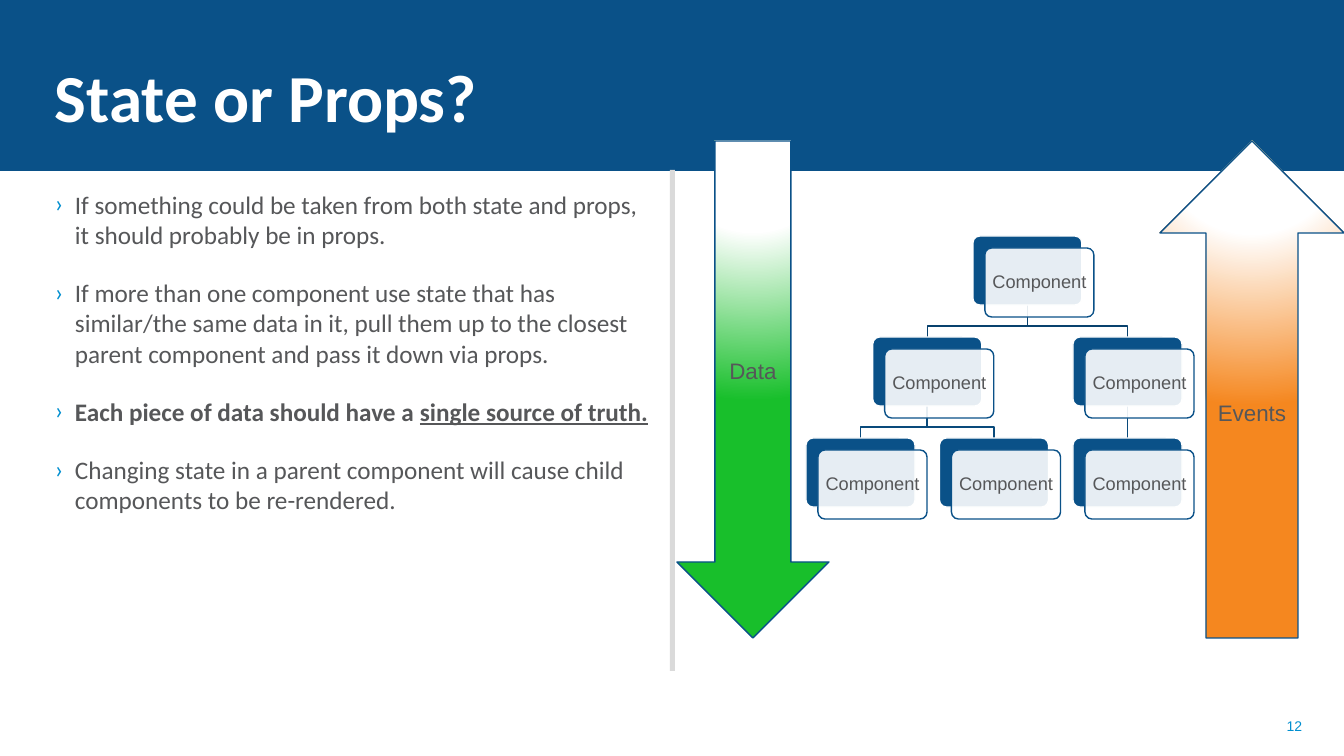
from pptx import Presentation
from pptx import util as u
from pptx.dml.color import RGBColor
from pptx.enum import shapes, text
from pptx.oxml import parse_xml
from pptx.oxml.ns import nsdecls, qn

SCALE = 914400 / 100.8  # EMU in one pixel
BLUE = RGBColor(0x0A, 0x51, 0x88)
TOP_LINK = RGBColor(0x08, 0x41, 0x6D)
LOW_LINK = RGBColor(0x09, 0x4A, 0x7B)
ACCENT = RGBColor(0x00, 0x8F, 0xD0)
GREY = RGBColor(0x56, 0x57, 0x59)
RULE = RGBColor(0xDA, 0xDA, 0xDA)
GREEN = RGBColor(0x18, 0xBF, 0x2B)
ORANGE = RGBColor(0xF5, 0x87, 0x1F)
WHITE = RGBColor(0xFF, 0xFF, 0xFF)

# Component tree
LEFT, TOP = 806, 236
COLUMN, ROW = 133.5, 101
CARD_W, CARD_H, OFFSET = 109, 69, 12
FORK = 21
ROOT, LEFT_NODE, RIGHT_NODE = (1.25, 0), (0.5, 1), (2, 1)
LEAVES = [(0, 2), (1, 2), (2, 2)]
LINKS = [
    (ROOT, LEFT_NODE, TOP_LINK),
    (ROOT, RIGHT_NODE, TOP_LINK),
    (LEFT_NODE, LEAVES[0], LOW_LINK),
    (LEFT_NODE, LEAVES[1], LOW_LINK),
    (RIGHT_NODE, LEAVES[2], LOW_LINK),
]

BULLETS = [
    [("If something could be taken from both state and props, "
      "it should probably be in props.", {})],
    [("If more than one component use state that has similar/the same data in it, "
      "pull them up to the closest parent component and pass it down via props.", {})],
    [("Each piece of data should have a ", {"bold": True}),
     ("single source of truth.", {"bold": True, "underline": True})],
    [("Changing state in a parent component will cause child "
      "components to be re-rendered.", {})],
]


def px(value):
    return u.Emu(round(value * SCALE))


def add_span(para, words, font="Calibri", size=18, color=GREY, bold=False, underline=False):
    span = para.add_run()
    span.text = words
    span.font.name = font
    span.font.size = u.Pt(size)
    span.font.color.rgb = color
    span.font.bold = bold
    span.font.underline = underline


def write(shape, words, align=text.PP_ALIGN.LEFT, anchor=text.MSO_ANCHOR.MIDDLE,
          wrap=True, spacing=None, **style):
    frame = shape.text_frame
    frame.word_wrap = wrap
    frame.vertical_anchor = anchor
    para = frame.paragraphs[0]
    para.alignment = align
    para.line_spacing = spacing
    add_span(para, words, **style)


def add_box(page, x, y, w, h):
    return page.shapes.add_textbox(px(x), px(y), px(w), px(h))


def add_block(page, kind, x, y, w, h, fill, line=None):
    block = page.shapes.add_shape(kind, px(x), px(y), px(w), px(h))
    block.shadow.inherit = False
    block.fill.solid()
    block.fill.fore_color.rgb = fill
    if line is None:
        block.line.fill.background()
    else:
        block.line.color.rgb = line
        block.line.width = u.Pt(1)
    return block


def add_bullets(page, x, y, w, h):
    frame = add_box(page, x, y, w, h).text_frame
    frame.word_wrap = True
    for index, spans in enumerate(BULLETS):
        para = frame.add_paragraph() if index else frame.paragraphs[0]
        para.space_before = para.space_after = u.Pt(10)
        props = para._p.get_or_add_pPr()
        props.set("marL", str(px(20)))
        props.set("indent", str(-px(20)))
        props.append(parse_xml(
            f'<a:buClr {nsdecls("a")}><a:srgbClr val="{ACCENT}"/></a:buClr>'))
        props.append(parse_xml(f'<a:buFont {nsdecls("a")} typeface="Calibri"/>'))
        props.append(parse_xml(f'<a:buChar {nsdecls("a")} char="›"/>'))
        for words, style in spans:
            add_span(para, words, **style)


def corner(node):
    column, row = node
    return LEFT + column * COLUMN, TOP + row * ROW


def add_link(page, parent, child, color):
    x1, y1 = corner(parent)
    x2, y2 = corner(child)
    x1, x2, y1 = x1 + CARD_W / 2, x2 + CARD_W / 2, y1 + CARD_H
    if x1 == x2:
        link = page.shapes.add_connector(
            shapes.MSO_CONNECTOR.STRAIGHT, px(x1), px(y1), px(x2), px(y2))
        link._element.spPr.append(parse_xml(f'<a:effectLst {nsdecls("a")}/>'))
    else:
        builder = page.shapes.build_freeform(px(x1), px(y1))
        bends = [(x1, y1 + FORK), (x2, y1 + FORK), (x2, y2)]
        builder.add_line_segments([(px(x), px(y)) for x, y in bends], close=False)
        link = builder.convert_to_shape()
        link.shadow.inherit = False
        link.fill.background()
    link.line.color.rgb = color
    link.line.width = u.Pt(1)


def add_component(page, node):
    x, y = corner(node)
    kind = shapes.MSO_SHAPE.ROUNDED_RECTANGLE
    back = add_block(page, kind, x, y, CARD_W, CARD_H, BLUE, WHITE)
    front = add_block(page, kind, x + OFFSET, y + OFFSET, CARD_W, CARD_H, WHITE, BLUE)
    back.adjustments[0] = front.adjustments[0] = 0.1
    tint = front._element.spPr.find(qn("a:solidFill"))[0]
    tint.append(parse_xml(f'<a:alpha {nsdecls("a")} val="90000"/>'))
    write(front, "Component", align=text.PP_ALIGN.CENTER, wrap=False,
          spacing=0.9, font="Arial", size=13)


def add_flow_arrow(page, kind, x, w, color, label):
    arrow = add_block(page, kind, x, 141, w, 497, color, BLUE)
    stops = "".join(f'<a:gs pos="{place * 1000}"><a:srgbClr val="{shade}"/></a:gs>'
                    for place, shade in [(0, WHITE), (35, WHITE), (100, color)])
    gradient = parse_xml(
        f'<a:gradFill {nsdecls("a")}><a:gsLst>{stops}</a:gsLst><a:path path="circle">'
        '<a:fillToRect l="50000" t="-80000" r="50000" b="180000"/></a:path></a:gradFill>')
    props = arrow._element.spPr
    props.replace(props.find(qn("a:solidFill")), gradient)
    write(arrow, label, align=text.PP_ALIGN.CENTER, font="Arial", size=16)


def main():
    deck = Presentation()
    deck.slide_width, deck.slide_height = px(1344), px(756)
    page = deck.slides.add_slide(deck.slide_layouts[6])

    # Header band, page number and divider
    add_block(page, shapes.MSO_SHAPE.RECTANGLE, 0, 0, 1344, 170, BLUE, BLUE)
    write(add_box(page, 999, 706, 313, 40), "12", align=text.PP_ALIGN.RIGHT,
          font="Arial", size=10, color=ACCENT)
    add_block(page, shapes.MSO_SHAPE.RECTANGLE, 670, 170, 5, 501, RULE)

    # Title and bullets
    add_bullets(page, 45, 184, 615, 488)
    write(add_box(page, 45, 14, 1006, 127), "State or Props?",
          anchor=text.MSO_ANCHOR.BOTTOM, size=48, color=WHITE, bold=True)

    # Component tree
    for parent, child, color in LINKS:
        add_link(page, parent, child, color)
    for node in [ROOT, LEFT_NODE, RIGHT_NODE, *LEAVES]:
        add_component(page, node)

    # Flow arrows
    add_flow_arrow(page, shapes.MSO_SHAPE.UP_ARROW, 1160, 184, ORANGE, "Events")
    add_flow_arrow(page, shapes.MSO_SHAPE.DOWN_ARROW, 677, 152, GREEN, "Data")

    deck.save("out.pptx")


main()
